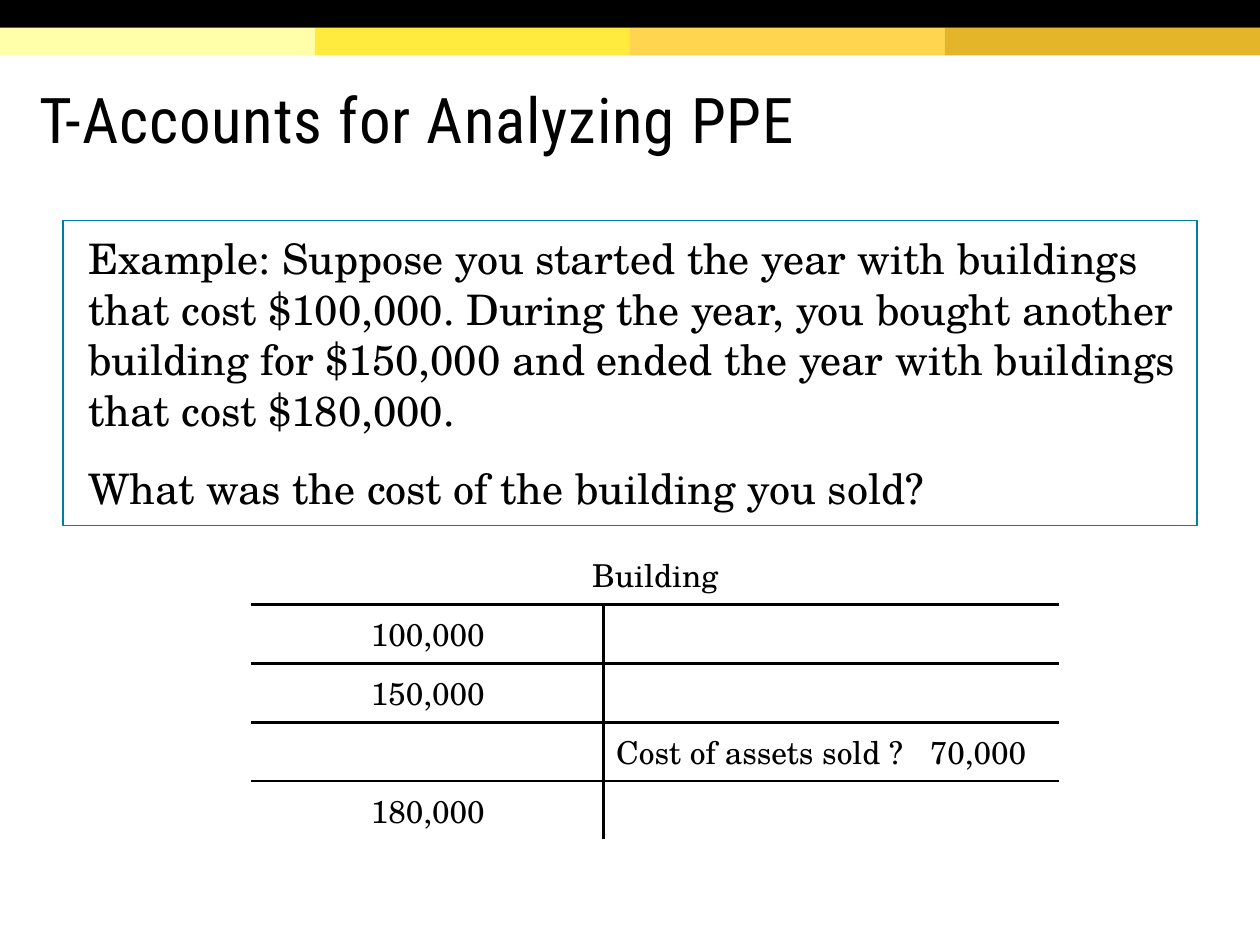
from pptx import Presentation
from pptx.dml.color import RGBColor
from pptx.enum.shapes import MSO_SHAPE
from pptx.enum.text import MSO_ANCHOR, MSO_AUTO_SIZE, PP_ALIGN
from pptx.oxml.ns import qn
from pptx.util import Inches, Pt
from lxml import etree

RECTANGLE = MSO_SHAPE.RECTANGLE
MIDDLE = MSO_ANCHOR.MIDDLE
NO_AUTOFIT = MSO_AUTO_SIZE.NONE
LEFT, CENTER = PP_ALIGN.LEFT, PP_ALIGN.CENTER

COLORS = {
    "text": "000000",
    "frame": "007FA3",
    "band": "000000",
    "stripes": ["FFFFAA", "FFEA3D", "FFD54F", "E4B429"],
}
TITLE_FONT, BODY_FONT = "Roboto Condensed", "TeX Gyre Schola"
COLUMNS, ROWS = 100, 75
THICK, THIN = 2.25, 1


class SlideBuilder:
    def __init__(self, presentation):
        self.slide = presentation.slides.add_slide(presentation.slide_layouts[1])
        self.column = presentation.slide_width / COLUMNS
        self.row = presentation.slide_height / ROWS

    def box(self, left, top, width, height):
        return (int(left * self.column), int(top * self.row),
                int(width * self.column), int(height * self.row))

    def place(self, shape, *box):
        shape.left, shape.top, shape.width, shape.height = self.box(*box)

    def style(self, paragraph, size, font=BODY_FONT):
        paragraph.font.size = Pt(size)
        paragraph.font.name = font
        paragraph.font.color.rgb = RGBColor.from_string(COLORS["text"])

    def bar(self, color, *box):
        shape = self.slide.shapes.add_shape(RECTANGLE, *self.box(*box))
        shape.shadow.inherit = False
        shape.fill.solid()
        shape.fill.fore_color.rgb = RGBColor.from_string(color)
        shape.line.fill.background()

    def title(self, text, *box):
        shape = self.slide.shapes.title
        self.place(shape, *box)
        frame = shape.text_frame
        frame.text = text
        frame.auto_size = NO_AUTOFIT
        frame.vertical_anchor = MIDDLE
        frame.margin_left = frame.margin_right = frame.margin_top = Inches(0.1)
        frame.margin_bottom = Inches(0.05)
        paragraph = frame.paragraphs[0]
        paragraph.alignment = LEFT
        paragraph.line_spacing = 0.85
        self.style(paragraph, 36, TITLE_FONT)
        paragraph.runs[0]._r.get_or_add_rPr().set("spc", "50")

    def body(self, items, *box):
        shape = self.slide.placeholders[1]
        self.place(shape, *box)
        shape.line.color.rgb = RGBColor.from_string(COLORS["frame"])
        shape.line.width = Pt(0.75)
        frame = shape.text_frame
        frame.text = "\n".join(text for text, _, _ in items)
        frame.auto_size = NO_AUTOFIT
        frame.vertical_anchor = MIDDLE
        for paragraph, (_, before, after) in zip(frame.paragraphs, items):
            properties = paragraph._p.get_or_add_pPr()
            properties.set("marL", str(Inches(0.1)))
            properties.set("indent", "0")
            etree.SubElement(properties, qn("a:buNone"))
            paragraph.space_before = Pt(before)
            paragraph.space_after = Pt(after)
            self.style(paragraph, 24)

    def border(self, cell, side, width):
        properties = cell._tc.get_or_add_tcPr()
        line = etree.Element(qn(f"a:ln{side}"), w=str(Pt(width)))
        fill = etree.SubElement(line, qn("a:solidFill"))
        etree.SubElement(fill, qn("a:srgbClr"), val=COLORS["text"])
        properties.insert(len(properties.findall("*")) - 1, line)

    def account(self, name, entries, rules, tab, column_widths, row_height, left, top):
        rows = [(name, "")] + entries
        box = self.box(left, top, sum(column_widths), row_height * len(rows))
        table = self.slide.shapes.add_table(len(rows), 2, *box).table
        table.first_row = table.horz_banding = False
        for column, width in zip(table.columns, column_widths):
            column.width = int(width * self.column)
        for row_index, row in enumerate(rows):
            for column_index, text in enumerate(row):
                cell = table.cell(row_index, column_index)
                cell.text = text
                cell.fill.background()
                if row_index:
                    self.border(cell, "L" if column_index else "R", THICK)
                for side, rule in (("T", row_index - 1), ("B", row_index)):
                    if rule in rules:
                        self.border(cell, side, rules[rule])
                paragraph = cell.text_frame.paragraphs[0]
                paragraph.alignment = LEFT if column_index else CENTER
                if "\t" in text:
                    tabs = etree.SubElement(paragraph._p.get_or_add_pPr(), qn("a:tabLst"))
                    etree.SubElement(tabs, qn("a:tab"), pos=str(Inches(tab)), algn="l")
                self.style(paragraph, 18)
        table.cell(0, 0).merge(table.cell(0, 1))


def main():
    presentation = Presentation()
    presentation.slide_width, presentation.slide_height = Inches(10), Inches(7.5)
    builder = SlideBuilder(presentation)

    band_height = 2.2
    stripe_width = COLUMNS / len(COLORS["stripes"])
    for index, color in enumerate(COLORS["stripes"]):
        builder.bar(color, index * stripe_width, band_height, stripe_width, band_height)
    builder.bar(COLORS["band"], 0, 0, COLUMNS, band_height)

    builder.title("T-Accounts for Analyzing PPE", 2.1, 4.7, 94.9, 9.8)
    builder.body([
        ("Example: Suppose you started the year with buildings that cost $100,000. "
         "During the year, you bought another building for $150,000 and ended the "
         "year with buildings that cost $180,000.", 0, 8),
        ("What was the cost of the building you sold?", 8, 15),
    ], 5, 17.5, 90, 24.2)
    builder.account(
        "Building",
        [("100,000", ""), ("150,000", ""),
         ("", "Cost of assets sold ?\t70,000"), ("180,000", "")],
        rules={0: THICK, 1: THICK, 3: THIN}, tab=2.49,
        column_widths=(27.9, 36.1), row_height=4.66, left=20, top=43.3)

    presentation.save("out.pptx")


if __name__ == "__main__":
    main()
